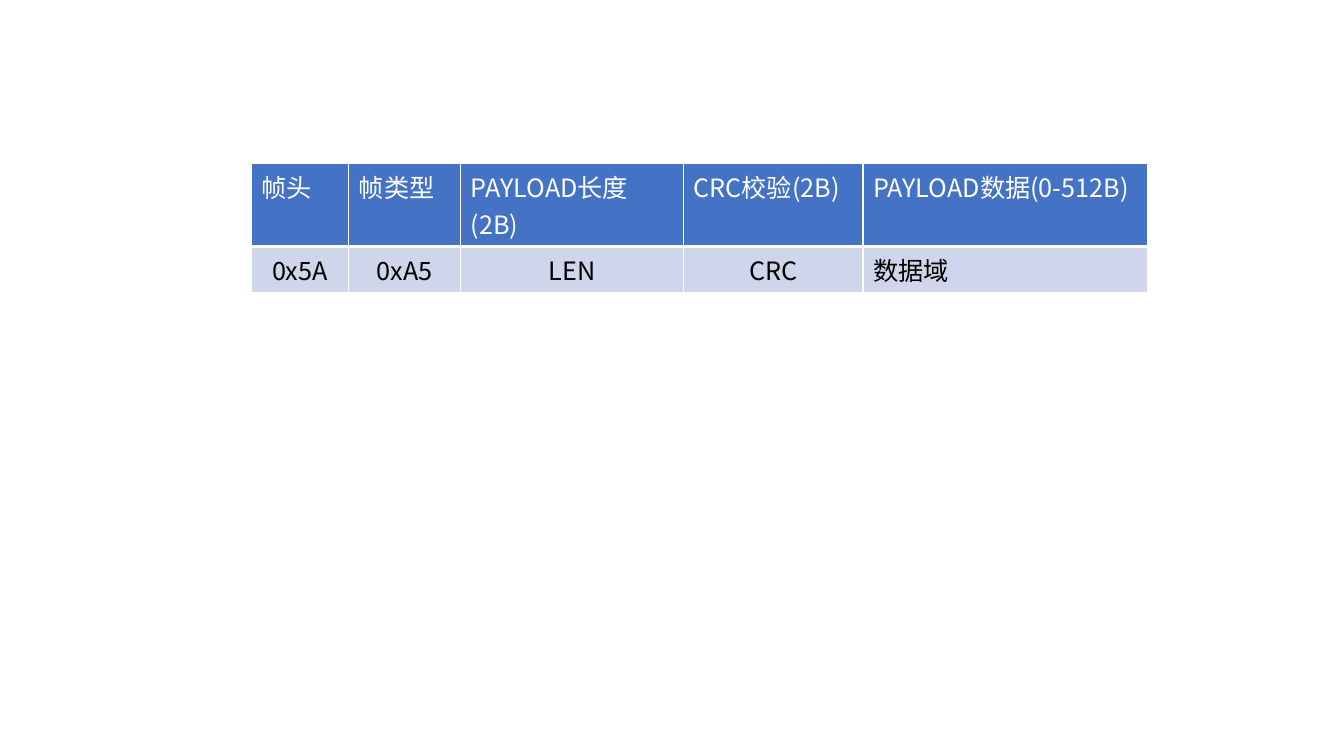
from dataclasses import dataclass

from lxml.etree import SubElement as Sub
from pptx import Presentation
from pptx.dml.color import RGBColor as RGB
from pptx.enum.text import PP_ALIGN as Align
from pptx.oxml.ns import qn
from pptx.util import Emu, Pt

SCALE = 9144  # EMU per px, 100 px to the inch


@dataclass(frozen=True)
class Theme:
    font: str = "Noto Sans CJK SC"
    size: int = 18
    head: str = "4472C4"
    body: str = "CFD5EA"
    light: str = "FFFFFF"
    dark: str = "000000"
    thin: int = 1
    thick: int = 3


THEME = Theme()
HEADS = ["帧头", "帧类型", "PAYLOAD长度(2B)", "CRC校验(2B)", "PAYLOAD数据(0-512B)"]
FIELDS = ["0x5A", "0xA5", "LEN", "CRC", "数据域"]
WIDTHS = [97, 111, 221, 178, 282]
HIGH = 41


def px(num):
    return Emu(num * SCALE)


def write(frame, text, color=THEME.dark, align=Align.LEFT):
    para = frame.paragraphs[0]
    para.alignment = align
    run = para.add_run()
    run.text = text
    font = run.font
    font.name, font.size, font.bold = THEME.font, Pt(THEME.size), False
    font.color.rgb = RGB.from_string(color)
    Sub(font._element, qn("a:ea"), typeface=THEME.font)


def edge(cell, base):
    """Rule all four sides of a cell; base is the width of the bottom one."""
    props = cell._tc.get_or_add_tcPr()
    for side in "LRTB":
        wide = base if side == "B" else THEME.thin
        line = Sub(props, qn(f"a:ln{side}"), w=str(Pt(wide)))
        fill = Sub(line, qn("a:solidFill"))
        Sub(fill, qn("a:srgbClr"), val=THEME.light)


def paint(cell, color, base=THEME.thin):
    edge(cell, base)
    cell.fill.solid()
    cell.fill.fore_color.rgb = RGB.from_string(color)


def add_frame(slide, left, top):
    """Add the table that names each field of the protocol frame."""
    grid = slide.shapes.add_table(
        2, len(WIDTHS), px(left), px(top), px(sum(WIDTHS)), px(2 * HIGH)
    ).table
    for row in grid.rows:
        row.height = px(HIGH)
    for col, (wide, head, field) in enumerate(zip(WIDTHS, HEADS, FIELDS)):
        grid.columns[col].width = px(wide)
        top_cell, low_cell = grid.cell(0, col), grid.cell(1, col)
        paint(top_cell, THEME.head, base=THEME.thick)
        write(top_cell.text_frame, head, color=THEME.light)
        paint(low_cell, THEME.body)
        last = col == len(WIDTHS) - 1
        write(low_cell.text_frame, field, align=Align.LEFT if last else Align.CENTER)


def main():
    deck = Presentation()
    deck.slide_width, deck.slide_height = px(1333), px(750)
    slide = deck.slides.add_slide(deck.slide_layouts.get_by_name("Blank"))
    add_frame(slide, 249, 162)
    deck.save("out.pptx")


if __name__ == "__main__":
    main()
